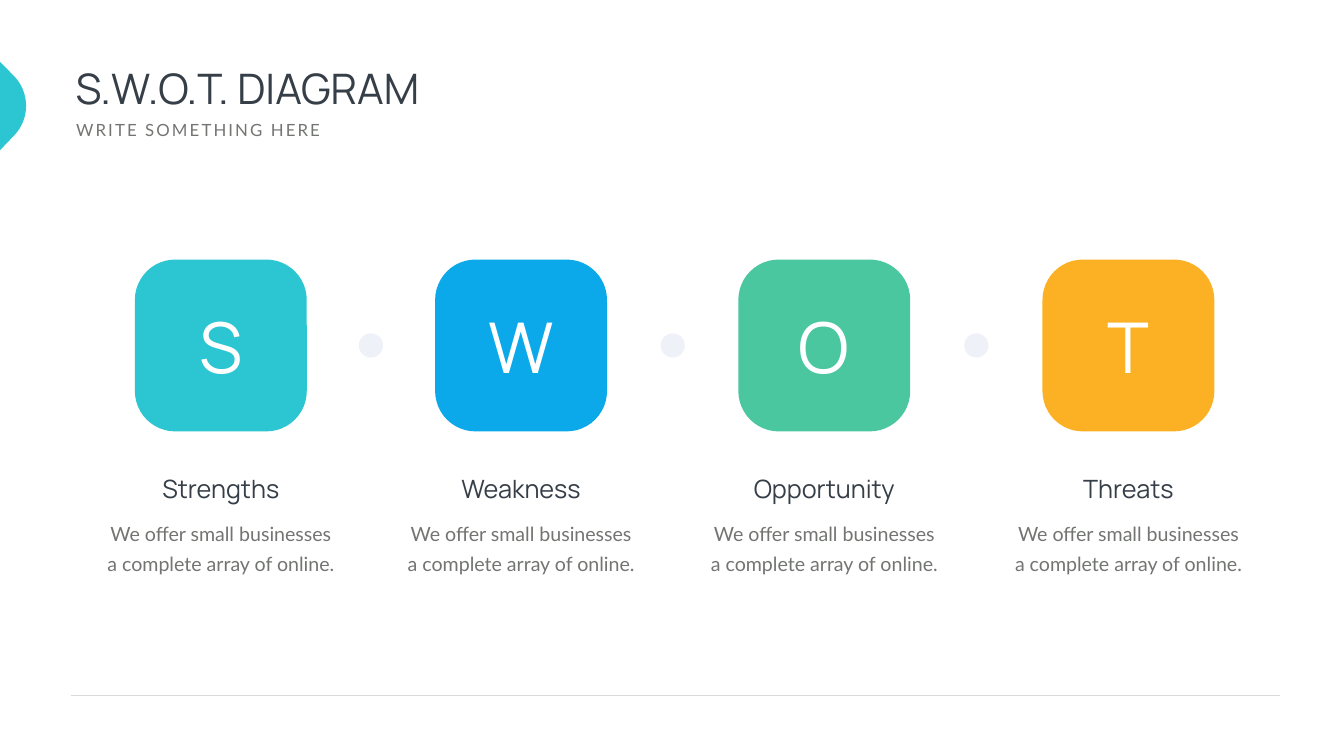
from dataclasses import dataclass

from lxml import etree
from pptx import Presentation
from pptx.dml.color import RGBColor
from pptx.enum.shapes import MSO_CONNECTOR, MSO_SHAPE
from pptx.enum.text import MSO_ANCHOR, MSO_AUTO_SIZE, PP_ALIGN
from pptx.oxml.ns import qn
from pptx.util import Inches, Pt

LEFT, CENTER = PP_ALIGN.LEFT, PP_ALIGN.CENTER
TOP, MIDDLE = MSO_ANCHOR.TOP, MSO_ANCHOR.MIDDLE
NO_FIT = MSO_AUTO_SIZE.NONE
OVAL, ROUNDED = MSO_SHAPE.OVAL, MSO_SHAPE.ROUNDED_RECTANGLE
STRAIGHT = MSO_CONNECTOR.STRAIGHT

WIDTH, HEIGHT = 26.66, 15


@dataclass(frozen=True)
class Theme:
    heading_font: str = "Manrope"
    body_font: str = "Lato"
    dark: str = "363E48"
    grey: str = "737572"
    white: str = "FFFFFF"
    rule: str = "D9D9D9"
    dot: str = "EFF1F8"
    teal: str = "2CC5D2"
    blue: str = "0BA9E9"
    green: str = "4BC79F"
    amber: str = "FBB123"
    title_size: int = 60
    subtitle_size: int = 24
    letter_size: int = 100
    label_size: int = 36
    body_size: int = 28
    body_leading: int = 43


@dataclass(frozen=True)
class Box:
    """A place on a grid of 100 columns by 100 rows."""
    left: float
    top: float
    width: float
    height: float

    def emu(self) -> tuple:
        return col(self.left), row(self.top), col(self.width), row(self.height)


@dataclass(frozen=True)
class Quadrant:
    center: float
    label: str
    color: str


def col(n: float) -> int:
    return Inches(WIDTH * n / 100)


def row(n: float) -> int:
    return Inches(HEIGHT * n / 100)


def centered(x: float, top: float, width: float, height: float) -> Box:
    return Box(x - width / 2, top, width, height)


def rgb(color: str) -> RGBColor:
    return RGBColor.from_string(color)


T = Theme()
QUADRANTS = [
    Quadrant(16.43, "Strengths", T.teal),
    Quadrant(38.77, "Weakness", T.blue),
    Quadrant(61.33, "Opportunity", T.green),
    Quadrant(83.96, "Threats", T.amber),
]
DESCRIPTION = "We offer small businesses a complete array of online."
TILE_TOP, TILE_SIDE = 34.33, 3.41
TILE_COLS, TILE_ROWS = TILE_SIDE / WIDTH * 100, TILE_SIDE / HEIGHT * 100
TILE_ROUNDING = 0.235
DOT_COLS, DOT_ROWS = 1.8, 3.2


def write(sp, text: str, *, size: int, font: str, color: str, align=CENTER,
          anchor=TOP, spacing: float = 0, leading: int = 0, wrap: bool = True,
          inset: tuple = (0.1, 0.05)) -> None:
    """Put one formatted paragraph into a shape."""
    tf = sp.text_frame
    tf.auto_size, tf.word_wrap, tf.vertical_anchor = NO_FIT, wrap, anchor
    tf.margin_left = tf.margin_right = Inches(inset[0])
    tf.margin_top = tf.margin_bottom = Inches(inset[1])
    p = tf.paragraphs[0]
    p.alignment, p.space_before = align, Pt(0)
    if leading:
        p.line_spacing = Pt(leading)
    r = p.add_run()
    r.text = text
    r.font.size, r.font.name = Pt(size), font
    r.font.color.rgb = rgb(color)
    if spacing:
        r._r.get_or_add_rPr().set("spc", str(int(spacing * 100)))


def paint(sp, color: str) -> None:
    sp.shadow.inherit = False
    sp.fill.solid()
    sp.fill.fore_color.rgb = rgb(color)
    sp.line.fill.background()


def add_shape(s, kind, box: Box, color: str):
    sp = s.shapes.add_shape(kind, *box.emu())
    paint(sp, color)
    return sp


def add_text(s, box: Box, text: str, **style) -> None:
    write(s.shapes.add_textbox(*box.emu()), text, **style)


def fill_placeholder(sp, box: Box, text: str, **style) -> None:
    sp.left, sp.top, sp.width, sp.height = box.emu()
    write(sp, text, align=LEFT, **style)


def bezier(a: tuple, b: tuple, c: tuple, d: tuple, steps: int = 24) -> list:
    """Points along a cubic curve, both ends included."""
    points = []
    for i in range(steps + 1):
        t = i / steps
        u = 1 - t
        points.append(tuple(
            u**3 * a[k] + 3 * u * u * t * b[k] + 3 * u * t * t * c[k] + t**3 * d[k]
            for k in (0, 1)))
    return points


def add_edge_tab(s) -> None:
    nose = bezier((1.01, 10), (2.25, 12.2), (2.25, 15.8), (1.01, 18))
    outline = [(col(x), row(y)) for x, y in [*nose, (0, 19.87)]]
    builder = s.shapes.build_freeform(col(0), row(8.2))
    builder.add_line_segments(outline, close=True)
    paint(builder.convert_to_shape(), T.teal)


def add_rule(s, left: float, right: float, y: float) -> None:
    line = s.shapes.add_connector(STRAIGHT, col(left), row(y), col(right), row(y))
    line.line.color.rgb = rgb(T.rule)
    line.line.width = Pt(0.5)
    etree.SubElement(line._element.spPr, qn("a:effectLst"))


def add_quadrant(s, q: Quadrant) -> None:
    tile = add_shape(s, ROUNDED, centered(q.center, TILE_TOP, TILE_COLS, TILE_ROWS), q.color)
    tile.adjustments[0] = TILE_ROUNDING
    write(tile, q.label[0], size=T.letter_size, font=T.heading_font,
          color=T.white, anchor=MIDDLE, spacing=6)
    add_text(s, centered(q.center, 62.27, 12.98, 5.27), q.label,
             size=T.label_size, font=T.heading_font, color=T.dark)
    add_text(s, centered(q.center, 67.33, 18.75, 9.2), DESCRIPTION,
             size=T.body_size, font=T.body_font, color=T.grey,
             leading=T.body_leading, inset=(0.24, 0.12))


def main() -> None:
    prs = Presentation()
    prs.slide_width, prs.slide_height = Inches(WIDTH), Inches(HEIGHT)
    s = prs.slides.add_slide(prs.slide_layouts[0])

    # Heading
    fill_placeholder(s.shapes.title, Box(5.25, 7.87, 60.24, 8.27), "S.W.O.T. DIAGRAM",
                     size=T.title_size, font=T.heading_font, color=T.dark)
    fill_placeholder(s.placeholders[1], Box(5.29, 15.53, 19.28, 3.33),
                     "WRITE SOMETHING HERE", size=T.subtitle_size,
                     font=T.body_font, color=T.grey, spacing=3, wrap=False)

    # Edge tab and footer rule
    add_edge_tab(s)
    add_rule(s, 5.25, 95.27, 91.93)

    # Four quadrants
    for q in QUADRANTS:
        add_quadrant(s, q)

    # A dot midway between neighbouring tiles
    dot_top = TILE_TOP + (TILE_ROWS - DOT_ROWS) / 2
    for a, b in zip(QUADRANTS, QUADRANTS[1:]):
        middle = (a.center + b.center) / 2
        add_shape(s, OVAL, centered(middle, dot_top, DOT_COLS, DOT_ROWS), T.dot)

    prs.save("out.pptx")


if __name__ == "__main__":
    main()
